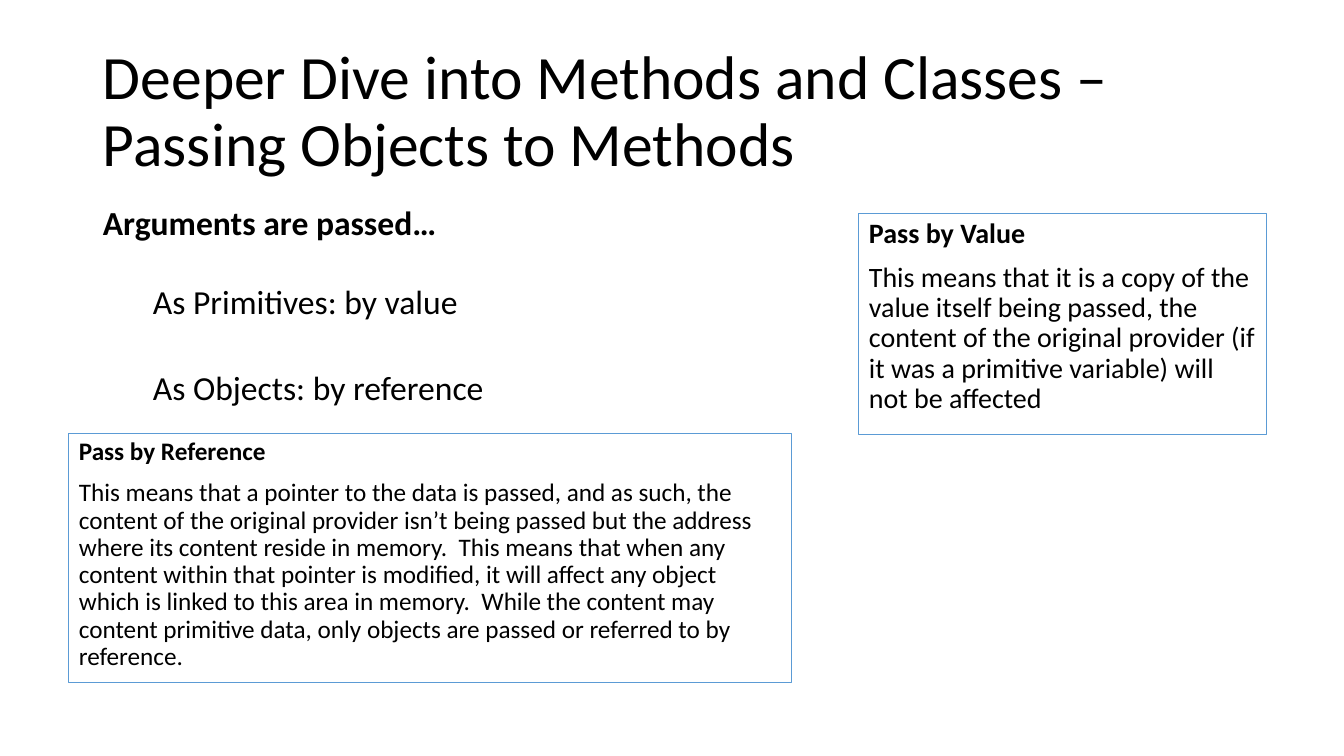
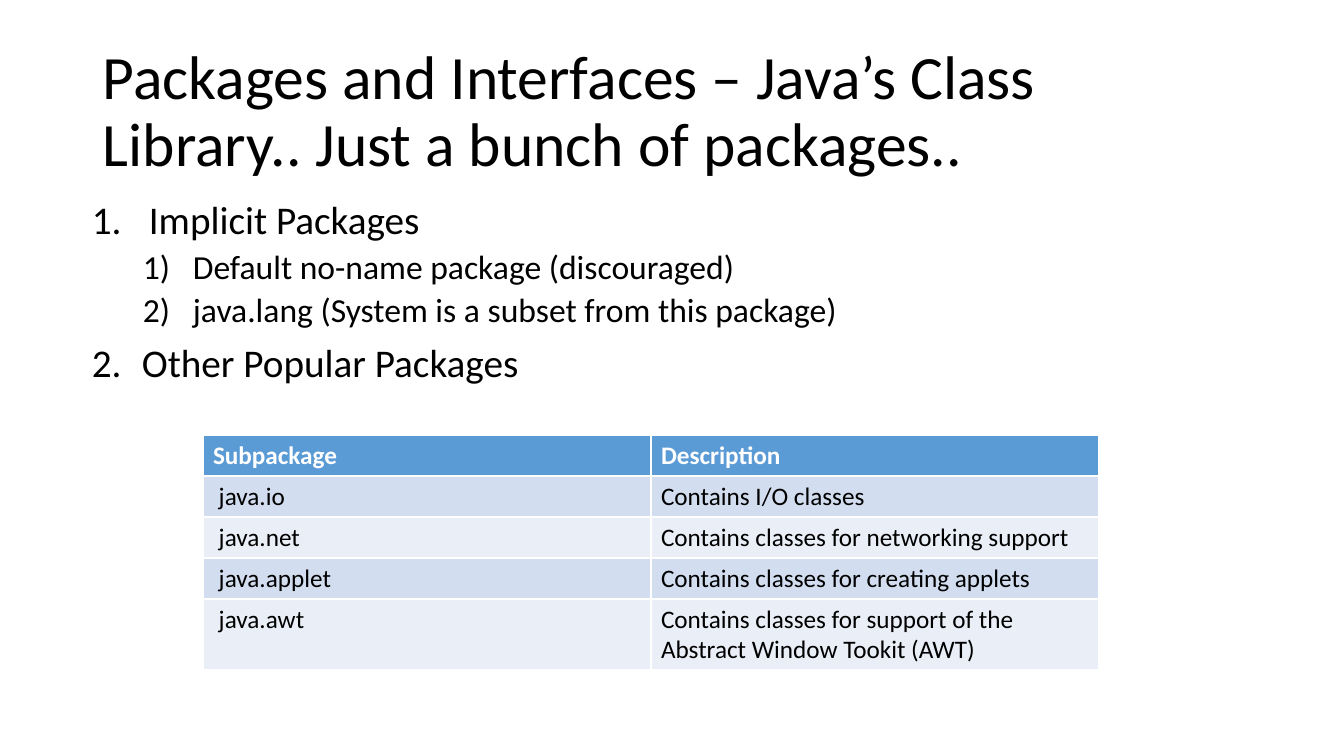
"""Build two slides on passing objects to methods and on Java packages."""
import pptx
import pptx.dml.color
import pptx.enum.shapes
import pptx.enum.text
import pptx.oxml
import pptx.util

PX = 12192000 / 1344
FONT = "Calibri"
COLORS = {"text": "000000", "white": "FFFFFF", "accent": "5B9BD5",
          "odd": "D2DEEF", "even": "EAEFF7"}


def px(*lengths):
    return [pptx.util.Emu(round(n * PX)) for n in lengths]


def add_text(tf, text, size=18, bold=False, color="text", level=0,
             before=0, spacing=0.9, left=0, hang=0, number=None):
    tf.word_wrap = True
    p = tf.paragraphs[0] if not tf.text else tf.add_paragraph()
    p.level = level
    p.alignment = pptx.enum.text.PP_ALIGN.LEFT
    p.line_spacing = spacing
    p.space_before = pptx.util.Pt(before)
    pPr = p._p.get_or_add_pPr()
    pPr.set("marL", str(px(left)[0]))
    pPr.set("indent", str(px(-hang)[0]))
    if number:
        bullet = pptx.oxml.parse_xml(
            '<a:buAutoNum xmlns:a="http://schemas.openxmlformats.org/'
            f'drawingml/2006/main" type="{number}"/>')
        pPr.append(bullet)
    r = p.add_run()
    r.text = text
    r.font.name = FONT
    r.font.size = pptx.util.Pt(size)
    r.font.bold = bold
    r.font.color.rgb = pptx.dml.color.RGBColor.from_string(COLORS[color])


prs = pptx.Presentation()
prs.slide_width, prs.slide_height = px(1344, 756)

titles = [
    "Deeper Dive into Methods and Classes – Passing Objects to Methods",
    "Packages and Interfaces – Java’s Class Library.. Just a bunch of packages..",
]
slides = []
for title in titles:
    s = prs.slides.add_slide(prs.slide_layouts[6])
    tf = s.shapes.add_textbox(*px(93, 40, 1159, 146)).text_frame
    tf.vertical_anchor = pptx.enum.text.MSO_ANCHOR.MIDDLE
    add_text(tf, title, size=44)
    slides.append(s)
passing, packages = slides

tf = passing.shapes.add_textbox(*px(93, 202, 648, 249)).text_frame
add_text(tf, "Arguments are passed…", size=24, bold=True)
add_text(tf, "As Primitives: by value", size=24, level=1, left=50, before=30)
add_text(tf, "As Objects: by reference", size=24, level=1, left=50, before=36)

definitions = [
    ((859, 214, 408, 221), 20, "Pass by Value",
     "This means that it is a copy of the value itself being passed, the "
     "content of the original provider (if it was a primitive variable) will "
     "not be affected"),
    ((69, 434, 723, 249), 18, "Pass by Reference",
     "This means that a pointer to the data is passed, and as such, the "
     "content of the original provider isn’t being passed but the address "
     "where its content reside in memory.  This means that when any content "
     "within that pointer is modified, it will affect any object which is "
     "linked to this area in memory.  While the content may content primitive "
     "data, only objects are passed or referred to by reference."),
]
for box, size, term, meaning in definitions:
    sp = passing.shapes.add_shape(
        pptx.enum.shapes.MSO_SHAPE.RECTANGLE, *px(*box))
    sp.shadow.inherit = False
    sp.fill.background()
    sp.line.color.rgb = pptx.dml.color.RGBColor.from_string(COLORS["accent"])
    sp.line.width = pptx.util.Pt(0.75)
    tf = sp.text_frame
    tf.vertical_anchor = pptx.enum.text.MSO_ANCHOR.TOP
    add_text(tf, term, size=size, bold=True, before=10)
    add_text(tf, meaning, size=size, before=10)

tf = packages.shapes.add_textbox(*px(82, 196, 1169, 480)).text_frame
outline = [
    ("Implicit Packages", 0, 57, 57),
    ("Default no-name package (discouraged)", 1, 101, 50),
    ("java.lang (System is a subset from this package)", 1, 101, 50),
    ("Other Popular Packages", 0, 50, 50),
]
for text, level, left, hang in outline:
    add_text(tf, text, size=(28, 24)[level], level=level, left=left, hang=hang,
             before=(10, 5)[level],
             number=("arabicPeriod", "arabicParenR")[level])

rows = [
    ("Subpackage", "Description"),
    (" java.io", "Contains I/O classes"),
    (" java.net", "Contains classes for networking support"),
    (" java.applet", "Contains classes for creating applets"),
    (" java.awt",
     "Contains classes for support of the Abstract Window Tookit (AWT)"),
]
table = packages.shapes.add_table(
    len(rows), 2, *px(203, 435, 896, 41 * len(rows))).table
for i, row in enumerate(rows):
    header = i == 0
    fill = "accent" if header else ("even", "odd")[i % 2]
    for j, text in enumerate(row):
        cell = table.cell(i, j)
        cell.fill.solid()
        cell.fill.fore_color.rgb = pptx.dml.color.RGBColor.from_string(
            COLORS[fill])
        add_text(cell.text_frame, text, bold=header, spacing=1.0,
                 color="white" if header else "text")

prs.save("out.pptx")
